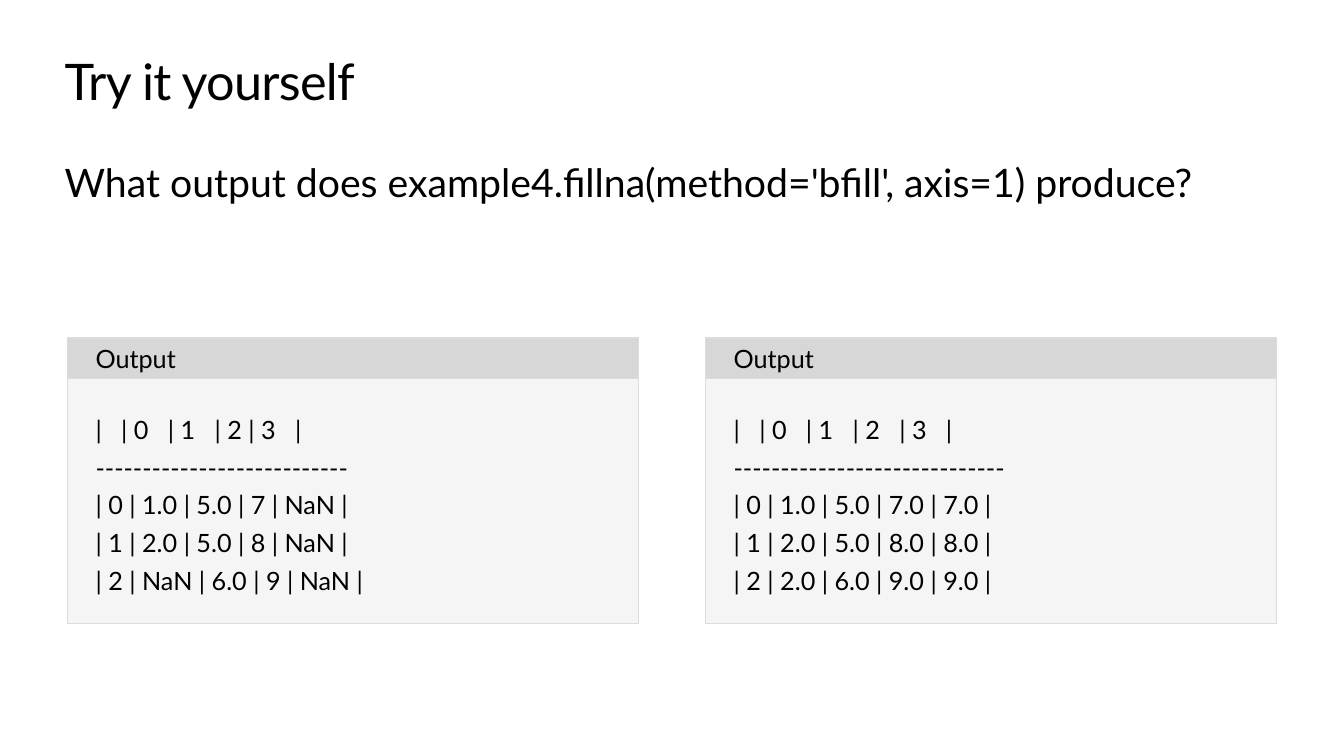
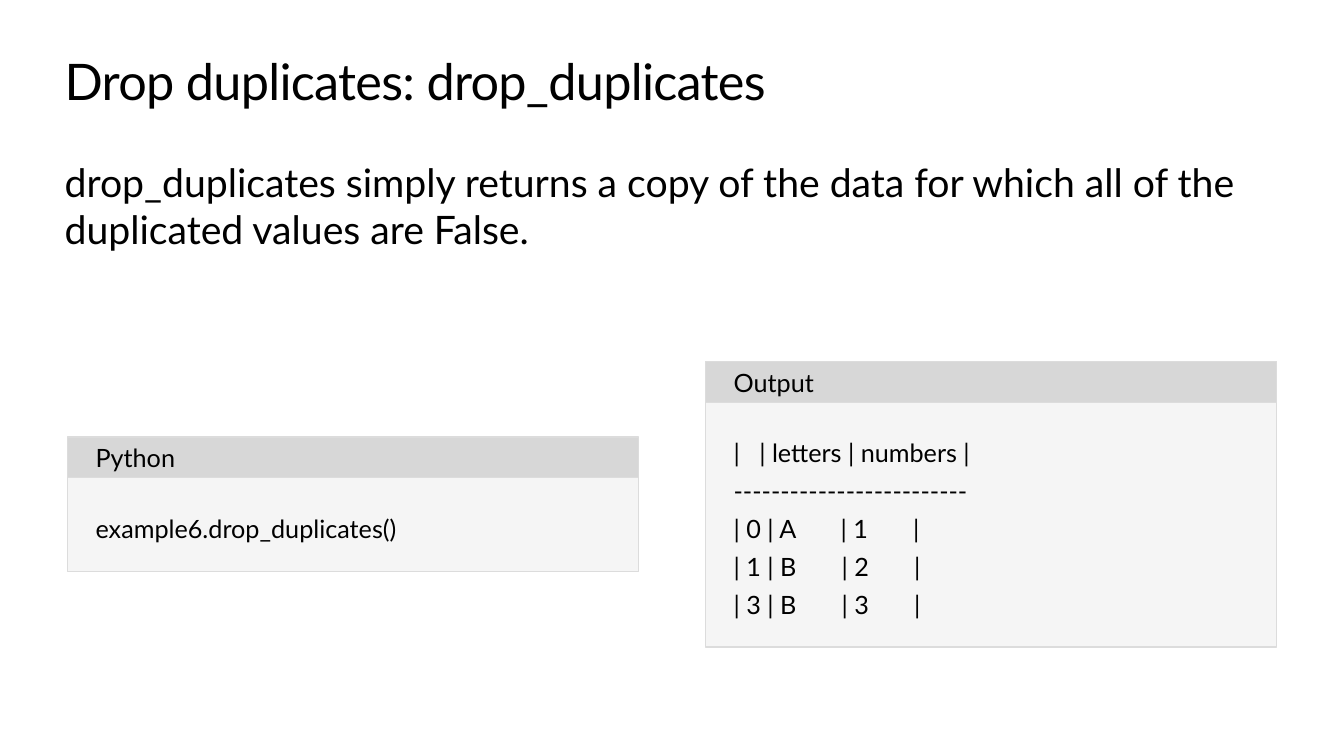
from dataclasses import dataclass

from pptx import Presentation
from pptx.dml.color import RGBColor
from pptx.enum.shapes import MSO_SHAPE
from pptx.enum.text import MSO_ANCHOR, PP_ALIGN
from pptx.slide import Slide
from pptx.text.text import TextFrame
from pptx.util import Cm, Pt

# Shared style
COLORS = {
    "text": "000000",
    "header": "D7D7D7",
    "code": "F5F5F5",
    "border": "DCDCDC",
}
FONT = "Lato"
TITLE_SIZE, PROMPT_SIZE, CODE_SIZE = 36, 28, 18

# Shared grid, in centimetres
TEXT_LEFT, TEXT_WIDTH = 1.63, 30.61
TITLE_TOP, TITLE_HEIGHT = 1.27, 1.52
PROMPT_TOP, PROMPT_LINE = 3.99, 1.19
PANEL_LEFT, PANEL_WIDTH, PANEL_GAP = 1.7, 14.4, 1.68
HEADER_HEIGHT, CODE_LINE, CODE_PADDING = 1.02, 0.95, 0.71
PANELS_MIDDLE = 11.52  # moves down half a line per prompt line


@dataclass(frozen=True)
class Panel:
    label: str
    lines: list[str]


@dataclass(frozen=True)
class Lesson:
    title: str
    prompt: str
    prompt_lines: int
    panels: list[Panel]


def text_table(*rows: str) -> list[str]:
    """Lay out comma-separated rows as a padded text table with a rule."""
    cells = [row.split(",") for row in rows]
    widths = [max(map(len, column)) for column in zip(*cells)]
    head, *body = [
        "| " + " | ".join(map(str.ljust, row, widths)) + " |" for row in cells
    ]
    return [head, "-" * len(head), *body]


LESSONS = [
    Lesson(
        "Try it yourself",
        "What output does example4.fillna(method='bfill', axis=1) produce?",
        1,
        [
            Panel("Output", text_table(
                " ,0,1,2,3",
                "0,1.0,5.0,7,NaN",
                "1,2.0,5.0,8,NaN",
                "2,NaN,6.0,9,NaN",
            )),
            Panel("Output", text_table(
                " ,0,1,2,3",
                "0,1.0,5.0,7.0,7.0",
                "1,2.0,5.0,8.0,8.0",
                "2,2.0,6.0,9.0,9.0",
            )),
        ],
    ),
    Lesson(
        "Drop duplicates: drop_duplicates",
        "drop_duplicates simply returns a copy of the data for which all of the "
        "duplicated values are False.",
        2,
        [
            Panel("Python", ["example6.drop_duplicates()"]),
            Panel("Output", text_table(
                " ,letters,numbers", "0,A,1", "1,B,2", "3,B,3"
            )),
        ],
    ),
]


def write(frame: TextFrame, text: str, size: float, anchor: MSO_ANCHOR,
          margins: tuple[float, float, float, float] = (0, 0, 0, 0),
          spacing: float = 1.0) -> None:
    """Fill a frame with one left-aligned paragraph; margins go clockwise from left."""
    frame.word_wrap = True
    frame.vertical_anchor = anchor
    (frame.margin_left, frame.margin_top,
     frame.margin_right, frame.margin_bottom) = map(Cm, margins)
    paragraph = frame.paragraphs[0]
    paragraph.text = text
    paragraph.alignment = PP_ALIGN.LEFT
    paragraph.line_spacing = spacing
    paragraph.font.name = FONT
    paragraph.font.size = Pt(size)
    paragraph.font.color.rgb = RGBColor.from_string(COLORS["text"])


def add_title(slide: Slide, text: str) -> None:
    title = slide.shapes.title
    title.left, title.top = Cm(TEXT_LEFT), Cm(TITLE_TOP)
    title.width, title.height = Cm(TEXT_WIDTH), Cm(TITLE_HEIGHT)
    write(title.text_frame, text, TITLE_SIZE, MSO_ANCHOR.TOP)
    # Tighten the letters by half a point
    for run in title.text_frame.paragraphs[0].runs:
        run._r.get_or_add_rPr().set("spc", "-50")


def add_prompt(slide: Slide, text: str, lines: int) -> None:
    prompt = slide.shapes.add_textbox(
        Cm(TEXT_LEFT), Cm(PROMPT_TOP), Cm(TEXT_WIDTH), Cm(lines * PROMPT_LINE)
    )
    write(prompt.text_frame, text, PROMPT_SIZE, MSO_ANCHOR.TOP)


def add_band(slide: Slide, left: float, top: float, height: float, fill: str,
             text: str, margins: tuple[float, float, float, float],
             spacing: float = 1.0) -> None:
    band = slide.shapes.add_shape(
        MSO_SHAPE.RECTANGLE, Cm(left), Cm(top), Cm(PANEL_WIDTH), Cm(height)
    )
    band.shadow.inherit = False
    band.fill.solid()
    band.fill.fore_color.rgb = RGBColor.from_string(COLORS[fill])
    band.line.color.rgb = RGBColor.from_string(COLORS["border"])
    band.line.width = Pt(0.85)
    write(band.text_frame, text, CODE_SIZE, MSO_ANCHOR.MIDDLE, margins, spacing)


def add_panel(slide: Slide, panel: Panel, left: float, middle: float) -> None:
    code_height = len(panel.lines) * CODE_LINE + 2 * CODE_PADDING
    top = middle - (HEADER_HEIGHT + code_height) / 2
    add_band(slide, left, top + HEADER_HEIGHT, code_height, "code",
             "\v".join(panel.lines), (CODE_PADDING,) * 4, 1.25)
    add_band(slide, left, top, HEADER_HEIGHT, "header",
             panel.label, (CODE_PADDING, 0.13, 0.25, 0.13))


def main() -> None:
    deck = Presentation()
    deck.slide_width, deck.slide_height = Cm(33.87), Cm(19.05)
    title_only = deck.slide_layouts[5]
    for lesson in LESSONS:
        slide = deck.slides.add_slide(title_only)
        add_title(slide, lesson.title)
        add_prompt(slide, lesson.prompt, lesson.prompt_lines)
        middle = PANELS_MIDDLE + lesson.prompt_lines * PROMPT_LINE / 2
        for column, panel in enumerate(lesson.panels):
            left = PANEL_LEFT + column * (PANEL_WIDTH + PANEL_GAP)
            add_panel(slide, panel, left, middle)
    deck.save("out.pptx")


if __name__ == "__main__":
    main()
